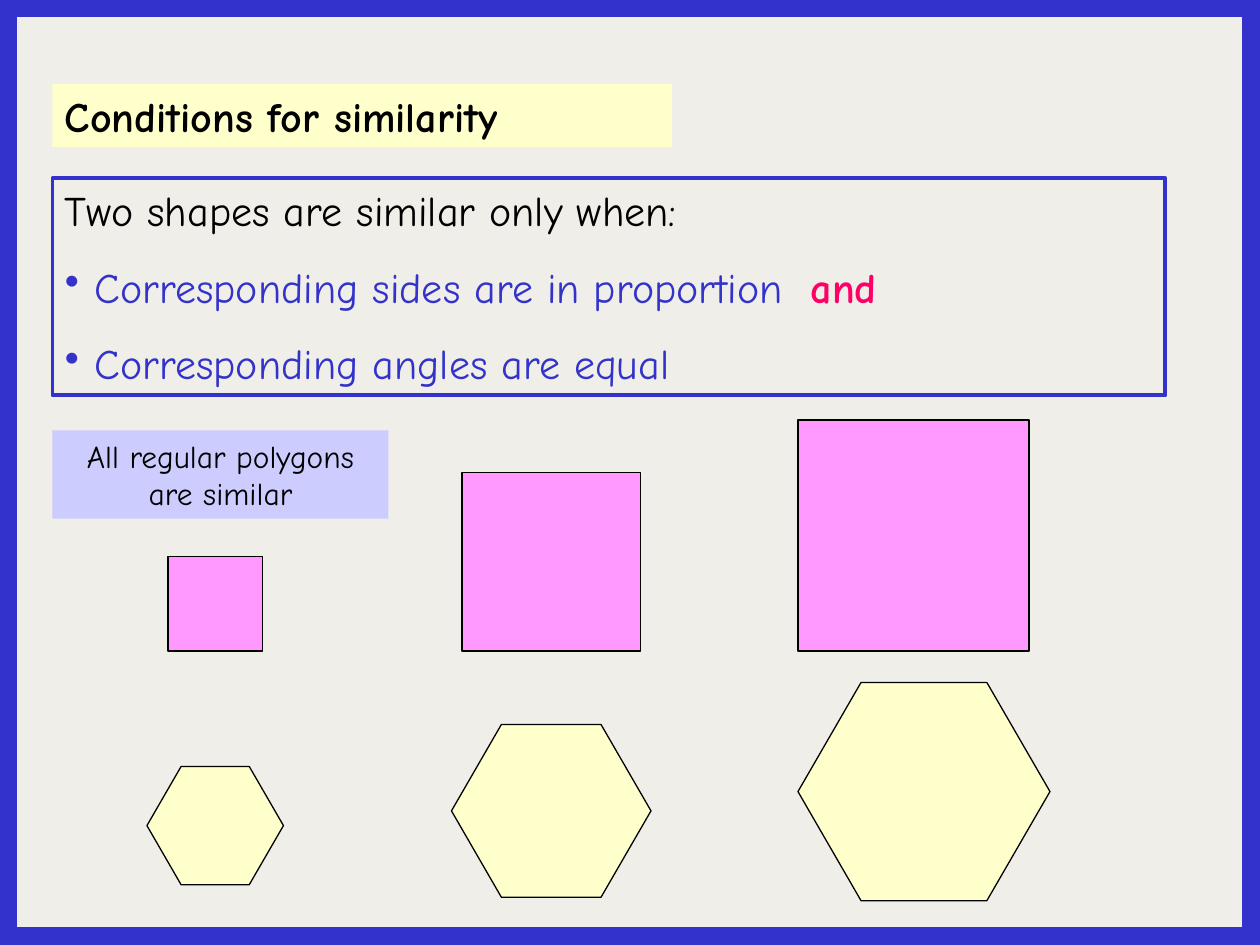
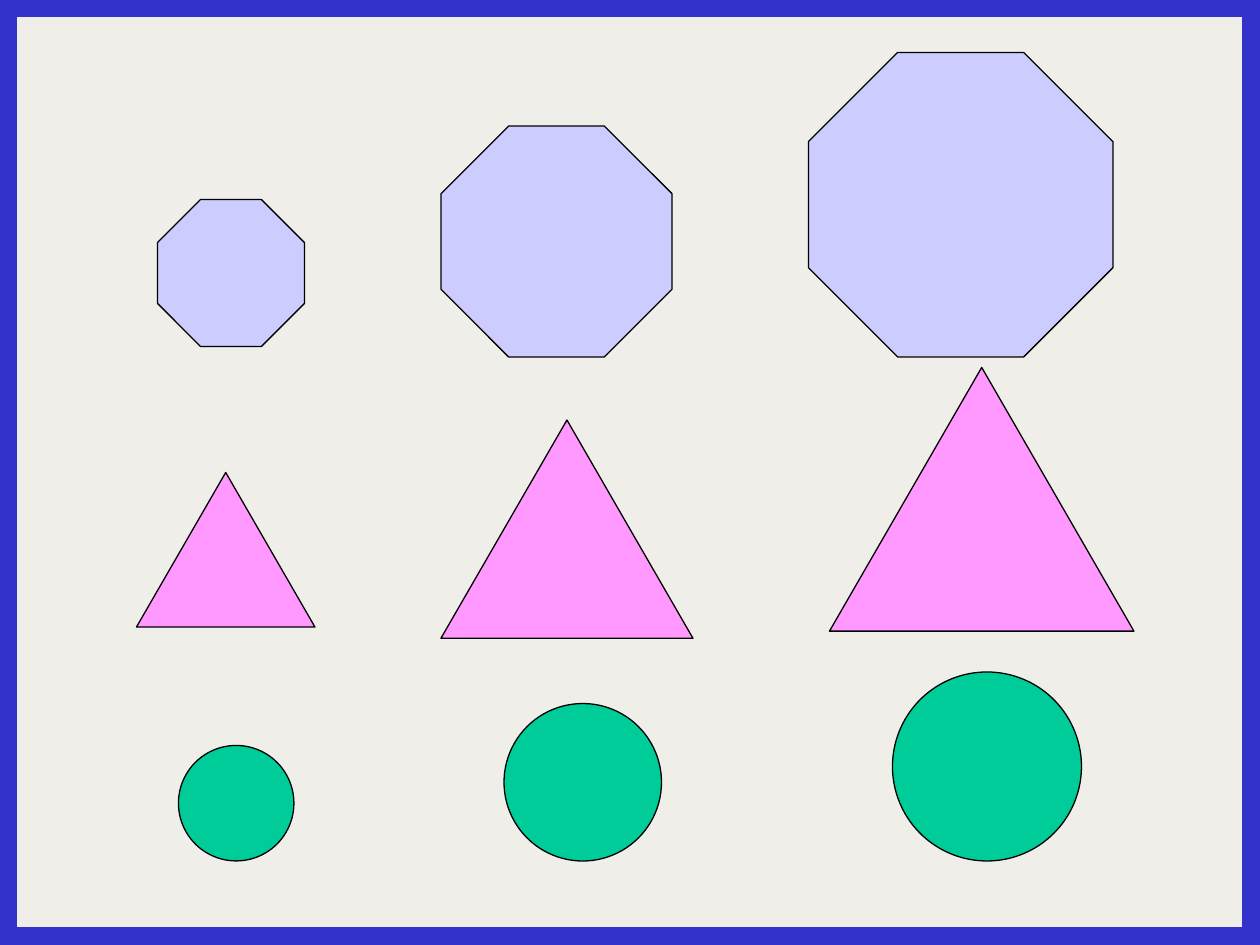
from dataclasses import dataclass
from math import sin, radians
from typing import NamedTuple

from lxml.etree import SubElement
from pptx import Presentation
from pptx.dml.color import RGBColor
from pptx.enum.shapes import MSO_SHAPE as Preset
from pptx.enum.text import MSO_ANCHOR as Anchor, PP_ALIGN as Align
from pptx.oxml.ns import qn
from pptx.shapes.autoshape import Shape
from pptx.slide import Slide
from pptx.util import Pt


@dataclass(frozen=True)
class Theme:
    """Colours and type sizes shared by the slides."""
    paper: str = "F0EEE8"
    ink: str = "000000"
    blue: str = "3333CC"
    red: str = "FF0066"
    cream: str = "FFFFCC"
    lilac: str = "CCCCFF"
    pink: str = "FF99FF"
    green: str = "00CC99"
    font: str = "Comic Neue"
    heading: float = 24
    label: float = 18
    outline: float = 0.75
    box_line: float = 2.25
    frame_line: float = 20


THEME = Theme()
WIDTH, HEIGHT = 720, 540
MARGIN = 30
BULLET_INDENT = 17
TRIANGULAR = sin(radians(60))


class Box(NamedTuple):
    """Position and size in points."""
    left: float
    top: float
    width: float
    height: float


class Span(NamedTuple):
    """A stretch of text in one format."""
    text: str
    color: str = THEME.ink
    bold: bool = False
    spacing: float = 0


class Line(NamedTuple):
    """A paragraph made of spans."""
    spans: tuple[Span, ...]
    bullet: bool = False


class Corner(NamedTuple):
    """Top left corner and width of one figure."""
    left: float
    top: float
    width: float


@dataclass(frozen=True)
class Family:
    """Similar figures of growing size."""
    preset: Preset
    fill: str
    corners: tuple[Corner, ...]
    ratio: float = 1
    adjustment: float | None = None


SIMILAR_ON_FIRST = (
    Family(Preset.RECTANGLE, THEME.pink,
           (Corner(96, 318, 54), Corner(264, 270, 102), Corner(456, 240, 132))),
    Family(Preset.HEXAGON, THEME.cream,
           (Corner(84, 438, 78), Corner(258, 414, 114), Corner(456, 390, 144)),
           TRIANGULAR, 0.289),
)
SIMILAR_ON_SECOND = (
    Family(Preset.OCTAGON, THEME.lilac,
           (Corner(90, 114, 84), Corner(252, 72, 132), Corner(462, 30, 174)),
           adjustment=0.293),
    Family(Preset.ISOSCELES_TRIANGLE, THEME.pink,
           (Corner(78, 270, 102), Corner(252, 240, 144), Corner(474, 210, 174)),
           TRIANGULAR),
    Family(Preset.OVAL, THEME.green,
           (Corner(102, 426, 66), Corner(288, 402, 90), Corner(510, 384, 108))),
)
CONDITIONS = (
    Line((Span("Two shapes are similar only when:"),)),
    Line((Span("Corresponding sides are in proportion", THEME.blue),
          Span(" ", THEME.blue, spacing=8),
          Span("and", THEME.red, True)), True),
    Line((Span("Corresponding angles are equal", THEME.blue),), True),
)


def rgb(color: str) -> RGBColor:
    """Turn a hex string into a colour."""
    return RGBColor.from_string(color)


def apply(target: object, formats: dict[str, object]) -> None:
    """Set each format value on the target."""
    for name, value in formats.items():
        setattr(target, name, value)


def add_figure(slide: Slide, preset: Preset, box: Box, fill: str | None = None,
               line: str | None = None, weight: float = THEME.outline) -> Shape:
    """Draw a preset shape with optional fill and outline."""
    shape = slide.shapes.add_shape(preset, *(Pt(length) for length in box))
    shape.shadow.inherit = False
    if fill:
        shape.fill.solid()
        shape.fill.fore_color.rgb = rgb(fill)
    else:
        shape.fill.background()
    if line:
        shape.line.color.rgb = rgb(line)
        shape.line.width = Pt(weight)
    else:
        shape.line.fill.background()
    return shape


def add_bullet(paragraph: object) -> None:
    """Give a paragraph a hanging blue bullet."""
    properties = paragraph._p.get_or_add_pPr()
    properties.set("marL", str(Pt(BULLET_INDENT)))
    properties.set("indent", str(-Pt(BULLET_INDENT)))
    color = SubElement(properties, qn("a:buClr"))
    SubElement(color, qn("a:srgbClr")).set("val", THEME.blue)
    SubElement(properties, qn("a:buChar")).set("char", "•")


def write(shape: Shape, lines: tuple[Line, ...], size: float = THEME.heading,
          alignment: Align = Align.LEFT) -> None:
    """Fill a shape with formatted lines."""
    frame = shape.text_frame
    apply(frame, {"word_wrap": True, "vertical_anchor": Anchor.TOP,
                  "margin_left": Pt(7.2), "margin_right": Pt(7.2),
                  "margin_top": Pt(3.6), "margin_bottom": Pt(3.6)})
    for index, line in enumerate(lines):
        paragraph = frame.add_paragraph() if index else frame.paragraphs[0]
        apply(paragraph, {"alignment": alignment, "space_before": Pt(15 if index else 0)})
        if line.bullet:
            add_bullet(paragraph)
        for span in line.spans:
            run = paragraph.add_run()
            run.text = span.text
            apply(run.font, {"name": THEME.font, "size": Pt(size), "bold": span.bold})
            run.font.color.rgb = rgb(span.color)
            if span.spacing:
                run._r.get_or_add_rPr().set("spc", str(round(span.spacing * 100)))


def add_families(slide: Slide, families: tuple[Family, ...]) -> None:
    """Draw each family of similar figures."""
    for family in families:
        for left, top, width in family.corners:
            box = Box(left, top, width, width * family.ratio)
            shape = add_figure(slide, family.preset, box, family.fill, THEME.ink)
            if family.adjustment is not None:
                shape.adjustments[0] = family.adjustment


def add_slide(presentation: Presentation) -> Slide:
    """Add a blank slide on the paper colour."""
    slide = presentation.slides.add_slide(presentation.slide_layouts[6])
    slide.background.fill.solid()
    slide.background.fill.fore_color.rgb = rgb(THEME.paper)
    return slide


def add_frame(slide: Slide) -> None:
    """Draw the blue frame around the slide."""
    add_figure(slide, Preset.RECTANGLE, Box(0, 0, WIDTH, HEIGHT),
               line=THEME.blue, weight=THEME.frame_line)


def build_conditions(presentation: Presentation) -> None:
    """Build the slide with the conditions for similarity."""
    slide = add_slide(presentation)
    title = add_figure(slide, Preset.RECTANGLE, Box(MARGIN, 48, 354, 36), THEME.cream)
    write(title, (Line((Span("Conditions for similarity", bold=True),)),))
    conditions = add_figure(slide, Preset.RECTANGLE, Box(MARGIN, 102, 636, 124),
                            line=THEME.blue, weight=THEME.box_line)
    write(conditions, CONDITIONS)
    add_families(slide, SIMILAR_ON_FIRST)
    label = add_figure(slide, Preset.RECTANGLE, Box(MARGIN, 246, 192, 50.4), THEME.lilac)
    write(label, (Line((Span("All regular polygons are similar"),)),),
          THEME.label, Align.CENTER)
    add_frame(slide)


def build_more_figures(presentation: Presentation) -> None:
    """Build the slide with more similar figures."""
    slide = add_slide(presentation)
    add_families(slide, SIMILAR_ON_SECOND)
    add_frame(slide)


def main() -> None:
    """Build and save the presentation."""
    presentation = Presentation()
    apply(presentation, {"slide_width": Pt(WIDTH), "slide_height": Pt(HEIGHT)})
    build_conditions(presentation)
    build_more_figures(presentation)
    presentation.save("out.pptx")


if __name__ == "__main__":
    main()
